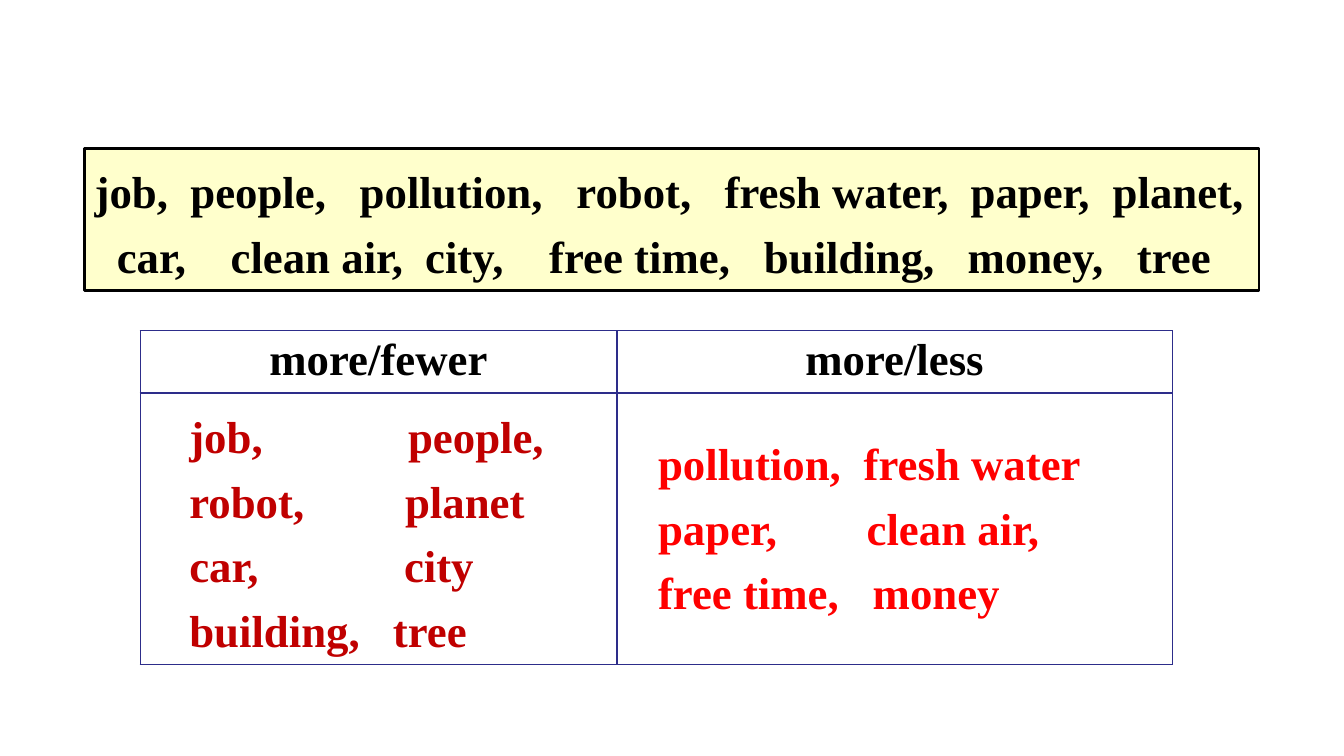
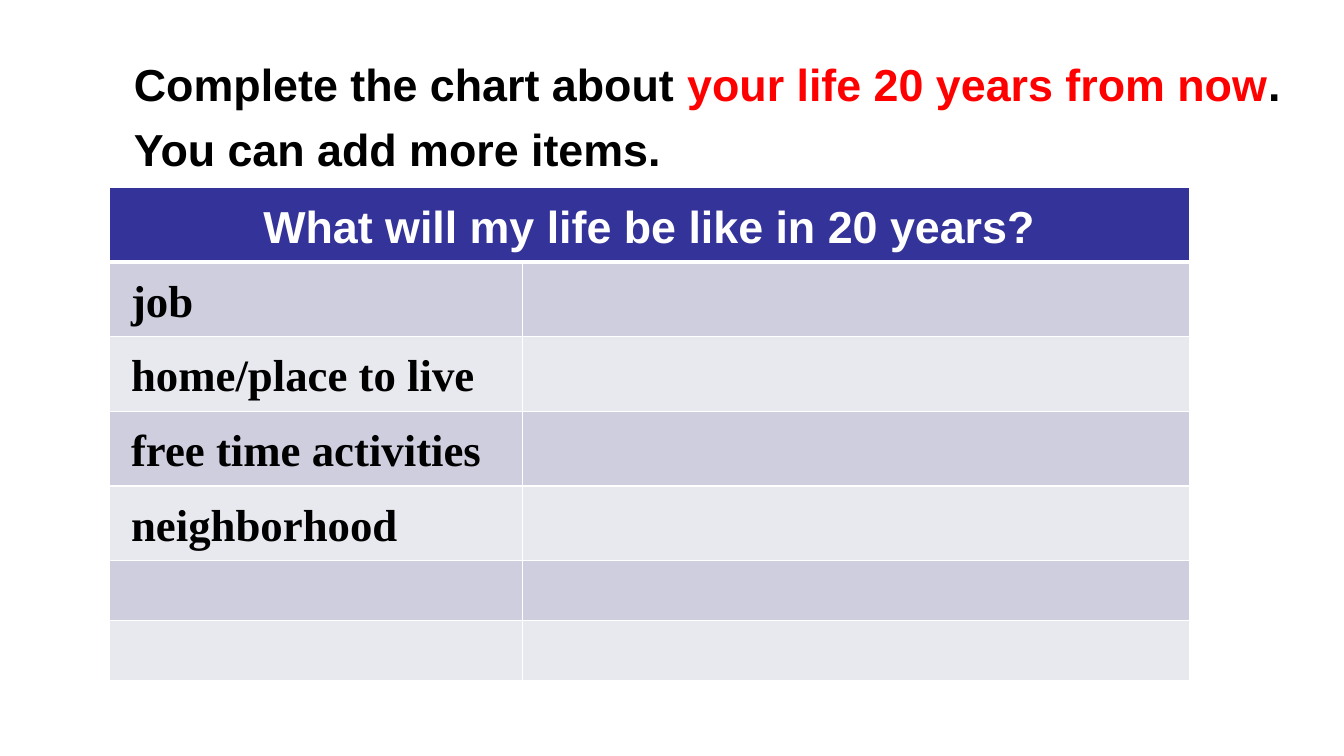
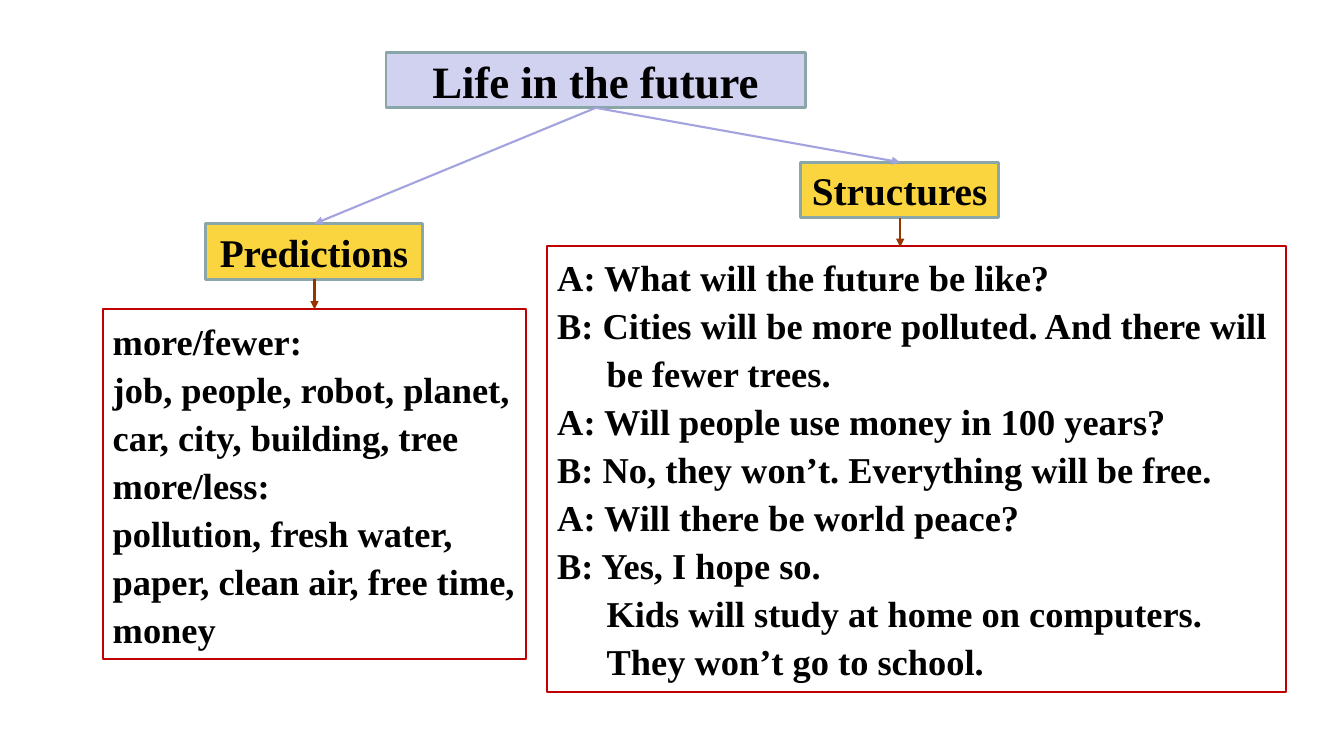
import pptx
import pptx.util
import pptx.dml.color
import pptx.enum.text
import pptx.enum.shapes
import lxml.etree

# Shared look: a grid of tenths of an inch, 133.3 columns by 75 rows
UNIT = pptx.util.Inches(0.1)
SERIF, SANS = "Times New Roman", "Arial"
BLACK, WHITE, RED, DARK = "000000", "FFFFFF", "FF0000", "C00000"
NAVY, GOLD, STEEL = "333399", "FBD53F", "8AA6A8"
PALE, LIGHT = "CECEDE", "E8E8EF"
LEFT, MID = pptx.enum.text.PP_ALIGN.LEFT, pptx.enum.text.PP_ALIGN.CENTER
TOP, CORE = pptx.enum.text.MSO_ANCHOR.TOP, pptx.enum.text.MSO_ANCHOR.MIDDLE
RECT = pptx.enum.shapes.MSO_SHAPE.RECTANGLE
STRAIGHT = pptx.enum.shapes.MSO_CONNECTOR.STRAIGHT
A = "http://schemas.openxmlformats.org/drawingml/2006/main"
hue = pptx.dml.color.RGBColor.from_string


def write(frame, lines, size, tint=BLACK, font=SERIF, space=1.0, align=LEFT):
    """Fill a frame; a line is a string or a list of (text, colour) runs."""
    frame.word_wrap = True
    for num, line in enumerate(lines):
        para = frame.add_paragraph() if num else frame.paragraphs[0]
        para.alignment, para.line_spacing = align, space
        for text, shade in [(line, tint)] if isinstance(line, str) else line:
            run = para.add_run()
            run.text = text
            run.font.name, run.font.bold = font, True
            run.font.size = pptx.util.Pt(size)
            run.font.color.rgb = hue(shade)


def box(slide, place, edge=None, fill=None, width=2, anchor=TOP):
    """Add a text box, or a rectangle if it has an edge; return its frame."""
    spot = [round(n * UNIT) for n in place]
    if edge:
        shape = slide.shapes.add_shape(RECT, *spot)
        shape.shadow.inherit = False
        shape.line.color.rgb = hue(edge)
        shape.line.width = pptx.util.Pt(width)
    else:
        shape = slide.shapes.add_textbox(*spot)
    if fill:
        shape.fill.solid()
        shape.fill.fore_color.rgb = hue(fill)
    else:
        shape.fill.background()
    shape.text_frame.vertical_anchor = anchor
    return shape.text_frame


deck = pptx.Presentation()
deck.slide_width = round(133.33 * UNIT)
deck.slide_height = 75 * UNIT
words, chart, sums = [deck.slides.add_slide(deck.slide_layouts[6]) for _ in range(3)]

# Both tables: place, columns, rows, border colour, width under the first row
grids = []
for slide, place, cols, rows, edge, thick in (
    (words, (13.9, 32.8), (47.3, 55.1), (6.2, 26.9), "2D2D8A", 1),
    (chart, (10.9, 18.6), (40.9, 66.2), (7.4, *[6.92] * 4, *[5.95] * 2), WHITE, 3),
):
    spot = [round(n * UNIT) for n in (*place, sum(cols), sum(rows))]
    grid = slide.shapes.add_table(len(rows), len(cols), *spot).table
    grid.first_row = grid.horz_banding = False
    for col, size in zip(grid.columns, cols):
        col.width = round(size * UNIT)
    for num, (row, size) in enumerate(zip(grid.rows, rows)):
        row.height = round(size * UNIT)
        for cell in row.cells:
            cell.fill.background()
            props = cell._tc.get_or_add_tcPr()
            for side, name in enumerate(("lnL", "lnR", "lnT", "lnB")):
                wide = thick if (num, name) in ((0, "lnB"), (1, "lnT")) else 1
                rule = lxml.etree.Element(f"{{{A}}}{name}", w=str(pptx.util.Pt(wide)))
                paint = lxml.etree.SubElement(rule, f"{{{A}}}solidFill")
                lxml.etree.SubElement(paint, f"{{{A}}}srgbClr", val=edge)
                props.insert(side, rule)
    grids.append(grid)
sort, plan = grids

# Slide 1: sorting table, word lists and word bank
for cell, head in zip(sort.rows[0].cells, ("more/fewer", "more/less")):
    write(cell.text_frame, [head], 32, align=MID)

few = box(words, (17.8, 39, 43.3, 27.6))
write(few, ["job,\tpeople,", "robot,\tplanet", "car,\tcity", "building,\ttree"],
      32, DARK, space=1.2)
less = box(words, (64.3, 41.7, 48, 22.1))
write(less, ["pollution,\tfresh water", "paper,\tclean air,", "free time,\tmoney"],
      32, RED, space=1.2)
bank = box(words, (8.4, 14.7, 116.5, 14.1), BLACK, "FFFFCC")
write(bank, ["job,\tpeople,\tpollution,\trobot,\tfresh water,\tpaper,\tplanet,",
             "\tcar,\tclean air,\tcity,\tfree time,\tbuilding,\tmoney,\ttree"],
      32, space=1.2)

# Tab stops of each line, in grid columns
for frame, lines in (
    (few, [[21.7], [21.4], [21.3], [20.2]]),
    (less, [[20.4], [20.7], [21.3]]),
    (bank, [[9.5, 26.3, 47.8, 62.5, 86.9, 101],
            [2.2, 13.5, 32.8, 45.1, 66.4, 86.6, 103.4]]),
):
    for para, stops in zip(frame.paragraphs, lines):
        tabs = lxml.etree.SubElement(para._p.get_or_add_pPr(), f"{{{A}}}tabLst")
        for stop in stops:
            lxml.etree.SubElement(tabs, f"{{{A}}}tab", pos=str(round(stop * UNIT)), algn="l")

# Slide 2: task and chart to complete
task = box(chart, (12.3, 2.9, 116.5, 16.2), anchor=CORE)
write(task, [[("Complete the chart about ", BLACK), ("your life 20 years from now", RED),
              (". You can add more items.", BLACK)]], 32, font=SANS, space=1.2)

plan.cell(0, 0).merge(plan.cell(0, 1))
write(plan.cell(0, 0).text_frame, ["What will my life be like in 20 years?"],
      32, WHITE, SANS, 1.2, MID)
for num, row in enumerate(plan.rows):
    for cell in row.cells:
        cell.fill.solid()
        cell.fill.fore_color.rgb = hue((PALE if num % 2 else LIGHT) if num else NAVY)
items = ("job", "home/place to live", "free time activities", "neighborhood")
for num, item in enumerate(items, 1):
    cell = plan.cell(num, 0)
    cell.margin_left = round(2.1 * UNIT)
    write(cell.text_frame, [item], 32, space=1.2)

# Slide 3: headings of the mind map
for head, place, fill, size in (
    ("Life in the future", (38.3, 5.2, 41.6, 5.5), "D1D1F0", 32),
    ("Structures", (79.4, 16.1, 19.7, 5.5), GOLD, 28),
    ("Predictions", (20.4, 22.2, 21.5, 5.5), GOLD, 28),
):
    write(box(sums, place, STEEL, fill, anchor=CORE), [head], size, align=MID)

# Slide 3: details
talk = box(sums, (54.3, 24.4, 73.3, 44.3), DARK, width=1.5)
write(talk, [
    "A: What will the future be like?",
    "B: Cities will be more polluted. And there will be fewer trees.",
    "A: Will people use money in 100 years?",
    "B: No, they won’t. Everything will be free.",
    "A: Will there be world peace?",
    "B: Yes, I hope so.",
    "Kids will study at home on computers. They won’t go to school.",
], 26, space=1.1)
hang = round(4.9 * UNIT)
for para in talk.paragraphs:
    props = para._p.get_or_add_pPr()
    props.set("marL", str(hang))
    props.set("indent", str(-hang if para.text[1] == ":" else 0))

guess = box(sums, (10.2, 30.7, 42, 34.7), DARK, width=1.5)
write(guess, [
    "more/fewer:",
    "job, people, robot, planet, car, city, building, tree",
    "more/less:",
    "pollution, fresh water, paper, clean air, free time, money",
], 26, space=1.1)

# Slide 3: arrows
for ends, tint in (
    ((59.1, 10.7, 31.2, 22.2), "A3A3E0"),
    ((59.1, 10.7, 89.3, 16.1), "A3A3E0"),
    ((89.3, 21.6, 89.3, 24.5), "993300"),
    ((31.2, 27.7, 31.2, 30.7), "993300"),
):
    link = sums.shapes.add_connector(STRAIGHT, *[round(n * UNIT) for n in ends])
    link.line.color.rgb = hue(tint)
    link.line.width = pptx.util.Pt(1.5)
    lxml.etree.SubElement(link.line._get_or_add_ln(), f"{{{A}}}tailEnd", type="triangle")
    lxml.etree.SubElement(link._element.spPr, f"{{{A}}}effectLst")

deck.save("out.pptx")
